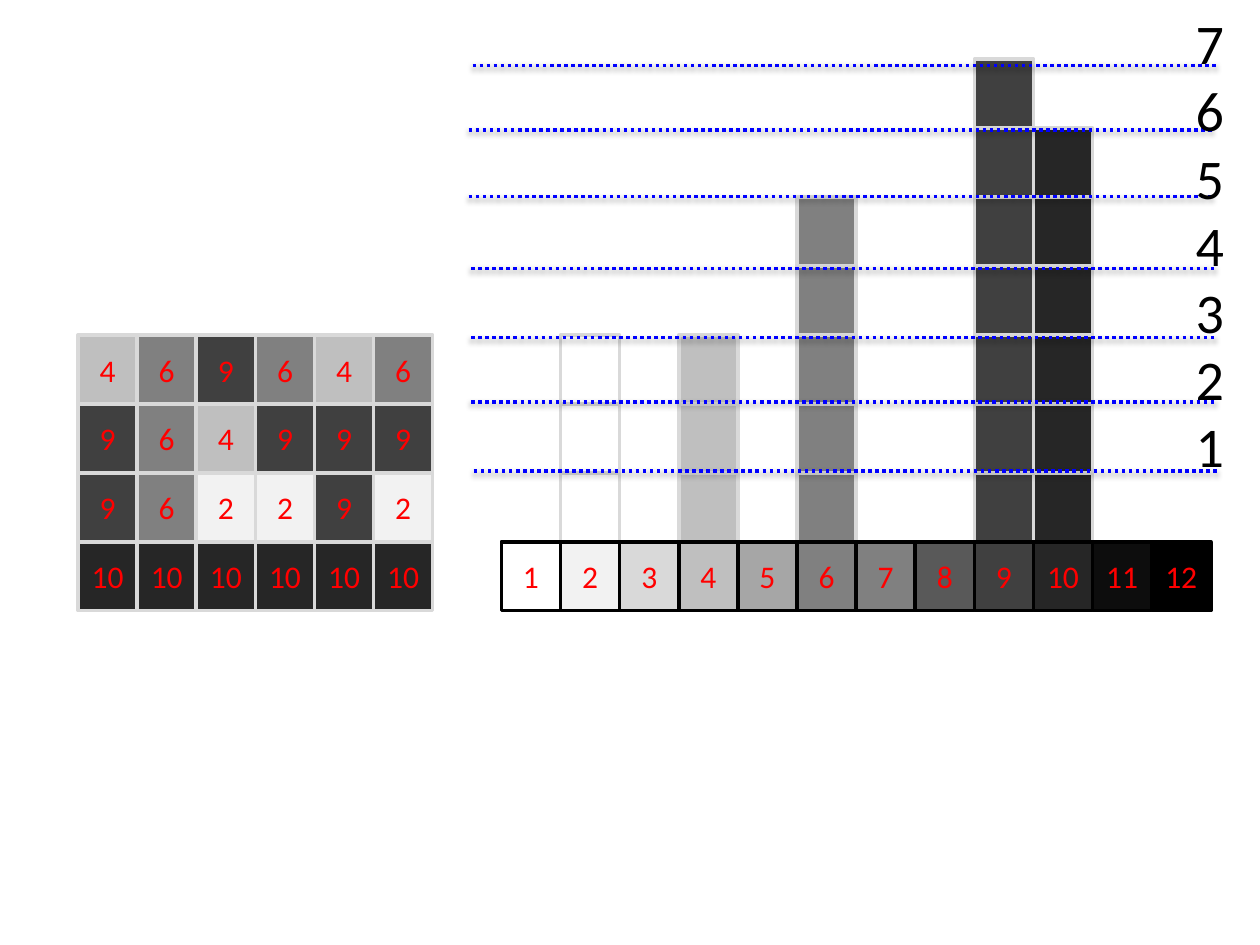
"""Build a slide that turns a grid of grey levels into a histogram."""
import pptx
import pptx.util
import pptx.dml.color
import pptx.enum.dml
import pptx.enum.shapes
import pptx.enum.text

WIDE, HIGH = 10, 7.5
CELL_W, CELL_H = 5.63 / 12, 3.83 / 7
GRID_X, SCALE_X, BASE = 0.62, 3.98, 4.3
RULE_W = 5.92
EDGE = "D9D9D9"
GREYS = ["FFFFFF", "F2F2F2", "D9D9D9", "BFBFBF", "A6A6A6", "808080",
         "808080", "595959", "404040", "262626", "0D0D0D", "000000"]
LEVELS = [[4, 6, 9, 6, 4, 6],
          [9, 6, 4, 9, 9, 9],
          [9, 6, 2, 2, 9, 2],
          [10] * 6]
BARS = {2: "FFFFFF", 4: GREYS[3], 6: GREYS[5], 9: GREYS[8], 10: GREYS[9]}
RULES = [(3.76, 3.74), (3.74, 3.19), (3.74, 2.68), (3.74, 2.13),
         (3.72, 1.56), (3.72, 1.03), (3.75, 0.52)]


def inch(*nums):
    """Turn numbers into lengths in inches."""
    return [pptx.util.Inches(num) for num in nums]


def hue(code):
    """Turn a hex string into a colour."""
    return pptx.dml.color.RGBColor.from_string(code)


def write(frame, lines, size=18, color="FF0000", align=None):
    """Fill a text frame with one paragraph for each line."""
    for i, line in enumerate(lines):
        para = frame.paragraphs[0] if i == 0 else frame.add_paragraph()
        para.alignment = align
        run = para.add_run()
        run.text = line
        run.font.name = "Calibri"
        run.font.size = pptx.util.Pt(size)
        run.font.color.rgb = hue(color)


def cell(slide, left, col, row, fill, edge=EDGE, label=None):
    """Draw one grid cell, with rows counted up from the base."""
    box = slide.shapes.add_shape(
        pptx.enum.shapes.MSO_SHAPE.RECTANGLE,
        *inch(left + col * CELL_W, BASE - row * CELL_H, CELL_W, CELL_H))
    box.shadow.inherit = False
    box.fill.solid()
    box.fill.fore_color.rgb = hue(fill)
    box.line.color.rgb = hue(edge)
    box.line.width = pptx.util.Pt(2)
    if label:
        box.text_frame.vertical_anchor = pptx.enum.text.MSO_ANCHOR.MIDDLE
        write(box.text_frame, [str(label)],
              align=pptx.enum.text.PP_ALIGN.CENTER)


def bars(slide):
    """Stack one cell for each time a level occurs."""
    flat = sum(LEVELS, [])
    for level, fill in BARS.items():
        for row in range(flat.count(level)):
            cell(slide, SCALE_X, level - 1, row + 1, fill)


def scale(slide):
    """Draw the row of all grey levels under the bars."""
    for col, fill in enumerate(GREYS):
        cell(slide, SCALE_X, col, 0, fill, edge="000000", label=col + 1)


def grid(slide):
    """Draw the numbered grid of grey levels."""
    for row, line in enumerate(reversed(LEVELS)):
        for col, level in enumerate(line):
            cell(slide, GRID_X, col, row, GREYS[level - 1], label=level)


def rule(slide, left, top):
    """Draw a dotted level line that keeps the theme's shadow."""
    line = slide.shapes.add_connector(
        pptx.enum.shapes.MSO_CONNECTOR.STRAIGHT,
        *inch(left, top, left + RULE_W, top)).line
    line.color.rgb = hue("0000FF")
    line.width = pptx.util.Pt(2)
    line.dash_style = pptx.enum.dml.MSO_LINE.ROUND_DOT


def counts(slide):
    """Write the counts down the right side."""
    frame = slide.shapes.add_textbox(*inch(9.39, 0.02, 0.43, 3.87)).text_frame
    frame.word_wrap = False
    frame.auto_size = pptx.enum.text.MSO_AUTO_SIZE.SHAPE_TO_FIT_TEXT
    write(frame, [str(num) for num in range(len(RULES), 0, -1)],
          size=32, color="000000")


def main():
    """Build and save the slide."""
    deck = pptx.Presentation()
    deck.slide_width, deck.slide_height = inch(WIDE, HIGH)
    slide = deck.slides.add_slide(deck.slide_layouts[6])
    bars(slide)
    scale(slide)
    grid(slide)
    for left, top in RULES:
        rule(slide, left, top)
    counts(slide)
    deck.save("out.pptx")


if __name__ == "__main__":
    main()
